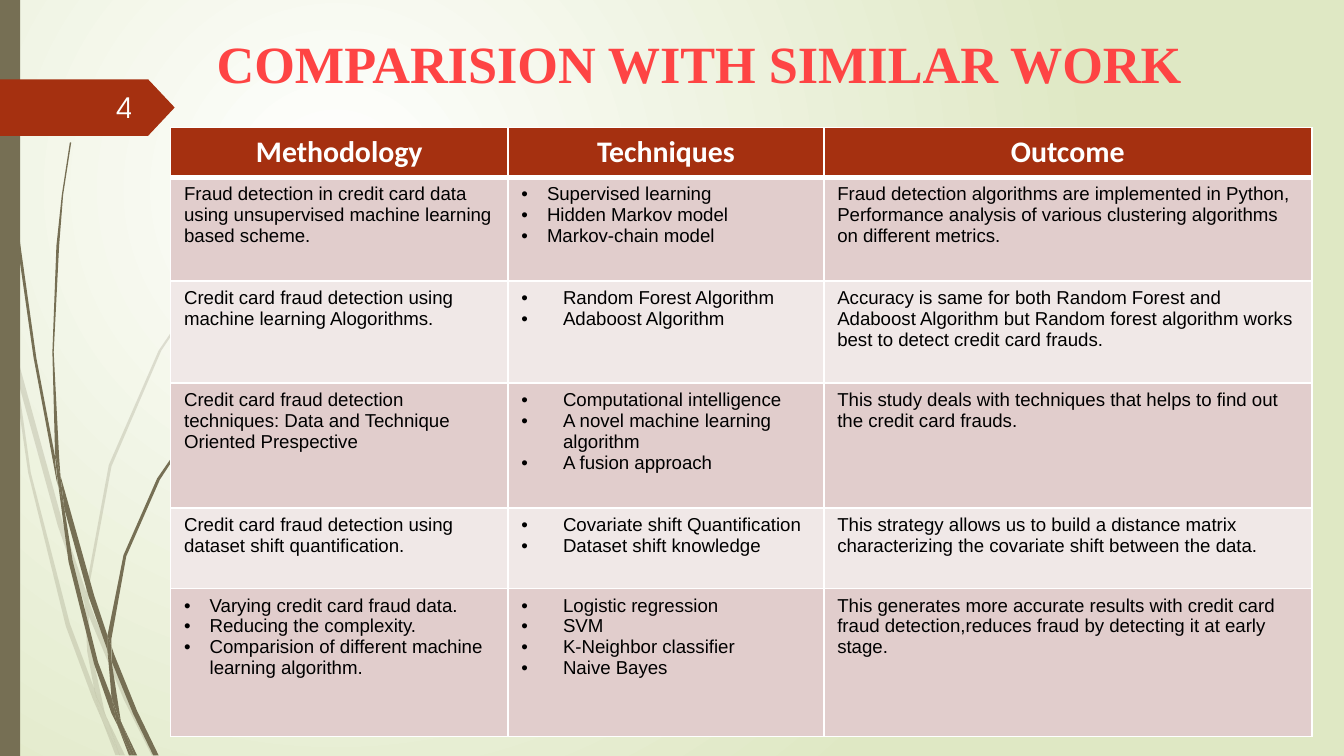
from dataclasses import dataclass

from lxml.etree import SubElement
from pptx import Presentation
from pptx.dml.color import RGBColor
from pptx.enum.shapes import MSO_SHAPE
from pptx.enum.text import MSO_ANCHOR, PP_ALIGN
from pptx.oxml import parse_xml
from pptx.oxml.ns import nsdecls, qn
from pptx.util import Inches, Pt

SLIDE_WIDTH = Inches(10)
SLIDE_HEIGHT = SLIDE_WIDTH * 9 // 16
OLIVE, RUST, WHITE, BLACK = "766F54", "A53010", "FFFFFF", "000000"
BAND_FILLS = ("E1CDCC", "F0E8E7")
COLUMN_WIDTHS = (2.51, 2.35, 3.63)
ROW_HEIGHTS = (0.37, 0.77, 0.76, 0.93, 0.6, 1.1)
HEADERS = ("Methodology", "Techniques", "Outcome")
NARROW, WIDE = 0.19, 0.31


@dataclass(frozen=True)
class CellText:
    lines: tuple[str, ...]
    bullet_indent: float = 0


@dataclass(frozen=True)
class TextStyle:
    font: str
    size: float
    color: str
    bold: bool = False


HEADER_STYLE = TextStyle("Calibri", 16, WHITE, True)
BODY_STYLE = TextStyle("Arial", 10, BLACK)
TITLE_STYLE = TextStyle("Times New Roman", 28, "FE4444", True)
NUMBER_STYLE = TextStyle("TeX Gyre Adventor", 15, "FEFFFF")

ROWS = (
    (CellText(("Fraud detection in credit card data using unsupervised machine learning based scheme.",)),
     CellText(("Supervised learning", "Hidden Markov model", "Markov-chain model"), NARROW),
     CellText(("Fraud detection algorithms are implemented in Python, Performance analysis of "
               "various clustering algorithms on different metrics.",))),
    (CellText(("Credit card fraud detection using machine learning Alogorithms.",)),
     CellText(("Random Forest Algorithm", "Adaboost Algorithm"), WIDE),
     CellText(("Accuracy is same for both Random Forest and Adaboost Algorithm but Random forest "
               "algorithm works best to detect credit card frauds.",))),
    (CellText(("Credit card fraud detection techniques: Data and Technique Oriented Prespective",)),
     CellText(("Computational intelligence", "A novel machine learning algorithm", "A fusion approach"), WIDE),
     CellText(("This study deals with techniques that helps to find out the credit card frauds.",))),
    (CellText(("Credit card fraud detection using dataset shift quantification.",)),
     CellText(("Covariate shift Quantification", "Dataset shift knowledge"), WIDE),
     CellText(("This strategy allows us to build a distance matrix characterizing the covariate "
               "shift between the data.",))),
    (CellText(("Varying credit card fraud data.", "Reducing the complexity.",
               "Comparision of different machine learning algorithm."), NARROW),
     CellText(("Logistic regression", "SVM", "K-Neighbor classifier", "Naive Bayes"), WIDE),
     CellText(("This generates more accurate results with credit card fraud detection,reduces "
               "fraud by detecting it at early stage.",))),
)

# Outlines of the grass blades, as "x,y" points in inches.
PALE_BLADES = (
    "0.08,2.63 0.06,2.41 0,2.11 0,2.24 0.08,2.58",
    "0.43,3.91 0.63,4.49 0.64,4.4 0.47,3.9 0.11,2.59 0.13,2.82",
    "0.69,4.55 0.66,4.47 0.66,4.58 0.92,5.2 1.13,5.62 1.16,5.62 0.95,5.19",
    "0.89,5.62 0.93,5.62 0.79,5.33",
    "0.7,5.12 0.52,4.64 0.23,3.52 0.13,2.82 0.08,2.63 0.21,3.52 0.49,4.66 0.69,5.2 0.76,5.36 0.74,5.3",
    "0.63,4.49 0.65,4.85 0.7,5.12 0.72,5.19 0.79,5.33 0.78,5.3 0.68,4.84 0.66,4.58 0.66,4.56",
    "0.66,4.38 0.83,3.47 1.2,2.61 1.71,1.84 2.01,1.48 2.17,1.31 2.34,1.15 2.17,1.31 2.01,1.48 "
    "1.71,1.83 1.18,2.61 0.81,3.46 0.64,4.38 0.64,4.4 0.66,4.47",
    "0.76,5.36 0.86,5.62 0.89,5.62",
    "0.66,4.56 0.66,4.58 0.66,4.47 0.64,4.4 0.63,4.49",
    "0.72,5.19 0.7,5.12 0.74,5.3 0.76,5.36 0.89,5.62 0.79,5.33",
)
DARK_BLADES = (
    "0.05,0.82 0.12,1.75 0.25,2.66 0.42,3.57 0.43,3.61 0.41,3.43 0.41,3.4 0.27,2.66 0.14,1.74 "
    "0.06,0.82 0.03,0.36 0.03,0 0.02,0 0.03,0.36",
    "0.66,4.44 0.8,4.84 0.8,4.75 0.8,4.73 0.7,4.43 0.45,3.54 0.48,3.79",
    "0.85,4.87 0.83,4.81 0.83,4.92 0.99,5.31 1.14,5.62 1.18,5.62 1.02,5.29",
    "0.83,5.19 0.73,4.93 0.54,4.17 0.48,3.79 0.43,3.58 0.51,4.18 0.7,4.94 0.83,5.31 0.88,5.41 0.87,5.38",
    "0.45,3.54 0.44,3.4 0.4,2.62 0.44,1.83 0.47,1.45 0.53,1.06 0.52,1.06 0.46,1.45 0.42,1.83 "
    "0.39,2.62 0.41,3.37",
    "1,5.62 1.02,5.62 0.91,5.39",
    "0.43,3.58 0.48,3.79 0.45,3.54 0.41,3.37 0.41,3.4",
    "0.83,4.75 0.94,4.14 1.19,3.57 1.53,3.05 1.73,2.81 1.84,2.69 1.96,2.58 1.95,2.58 1.84,2.69 "
    "1.73,2.8 1.53,3.04 1.17,3.56 0.92,4.13 0.8,4.73 0.83,4.81",
    "0.88,5.41 0.96,5.62 0.98,5.62",
    "0.8,4.84 0.83,5.19 0.87,5.3 0.91,5.39 0.9,5.37 0.83,4.92 0.81,4.88",
    "0.8,4.84 0.81,4.88 0.83,4.92 0.83,4.81 0.8,4.73 0.8,4.75",
    "0.87,5.3 0.83,5.19 0.87,5.38 0.88,5.41 0.98,5.62 1,5.62 0.91,5.39",
)


def rgb(color: str) -> RGBColor:
    return RGBColor.from_string(color)


def paint(shape, color: str) -> None:
    """Give a shape a plain fill, without outline or shadow."""
    shape.fill.solid()
    shape.fill.fore_color.rgb = rgb(color)
    shape.line.fill.background()
    shape.shadow.inherit = False


def paint_background(slide) -> None:
    fill = slide.background.fill
    fill.gradient()
    for stop, position, color in zip(fill.gradient_stops, (0, 1), (WHITE, "DFE8C4")):
        stop.position = position
        stop.color.rgb = rgb(color)
    gradient = slide.element.find(".//" + qn("a:gradFill"))
    gradient.replace(gradient.find(qn("a:lin")), parse_xml(
        f'<a:path {nsdecls("a")} path="circle">'
        '<a:fillToRect l="50000" t="50000" r="100000" b="100000"/></a:path>'))


def add_blade(slide, outline: str, opacity: int) -> None:
    points = [tuple(Inches(float(value)) for value in point.split(",")) for point in outline.split()]
    builder = slide.shapes.build_freeform(*points[0])
    builder.add_line_segments(points[1:], close=True)
    blade = builder.convert_to_shape()
    paint(blade, OLIVE)
    if opacity < 100:
        color = blade.element.spPr.find(".//" + qn("a:srgbClr"))
        SubElement(color, qn("a:alpha"), val=str(opacity * 1000))


def add_run(paragraph, text: str, style: TextStyle) -> None:
    run = paragraph.add_run()
    run.text = text
    run.font.name = style.font
    run.font.size = Pt(style.size)
    run.font.bold = style.bold
    run.font.color.rgb = rgb(style.color)


def add_label(slide, box: tuple, text: str, style: TextStyle, alignment, anchor, inset: float) -> None:
    frame = slide.shapes.add_textbox(*map(Inches, box)).text_frame
    frame.word_wrap = True
    frame.vertical_anchor = anchor
    frame.margin_top = frame.margin_bottom = Inches(inset)
    frame.paragraphs[0].alignment = alignment
    add_run(frame.paragraphs[0], text, style)


def fill_cell(cell, content: CellText, style: TextStyle, fill: str, alignment, bottom_width: float) -> None:
    cell.fill.solid()
    cell.fill.fore_color.rgb = rgb(fill)
    properties = cell._tc.get_or_add_tcPr()
    for position, (side, width) in enumerate(zip("LRTB", (1, 1, 1, bottom_width))):
        properties.insert(position, parse_xml(
            f'<a:ln{side} {nsdecls("a")} w="{Pt(width)}"><a:solidFill>'
            f'<a:srgbClr val="{WHITE}"/></a:solidFill></a:ln{side}>'))
    frame = cell.text_frame
    for index, line in enumerate(content.lines):
        paragraph = frame.add_paragraph() if index else frame.paragraphs[0]
        paragraph.alignment = alignment
        if content.bullet_indent:
            indent = Inches(content.bullet_indent)
            paragraph_properties = paragraph._p.get_or_add_pPr()
            paragraph_properties.set("marL", str(indent))
            paragraph_properties.set("indent", str(-indent))
            SubElement(paragraph_properties, qn("a:buFont"), typeface="Arial")
            SubElement(paragraph_properties, qn("a:buChar"), char="•")
        add_run(paragraph, line, style)


def add_comparison_table(slide) -> None:
    table = slide.shapes.add_table(
        len(ROW_HEIGHTS), len(COLUMN_WIDTHS), Inches(1.27), Inches(0.95),
        Inches(sum(COLUMN_WIDTHS)), Inches(sum(ROW_HEIGHTS))).table
    for column, width in zip(table.columns, COLUMN_WIDTHS):
        column.width = Inches(width)
    for row, height in zip(table.rows, ROW_HEIGHTS):
        row.height = Inches(height)
    for column, header in enumerate(HEADERS):
        fill_cell(table.cell(0, column), CellText((header,)), HEADER_STYLE, RUST, PP_ALIGN.CENTER, 3)
    for row, contents in enumerate(ROWS):
        for column, content in enumerate(contents):
            fill_cell(table.cell(row + 1, column), content, BODY_STYLE, BAND_FILLS[row % 2], PP_ALIGN.LEFT, 1)


def main() -> None:
    presentation = Presentation()
    presentation.slide_width, presentation.slide_height = SLIDE_WIDTH, SLIDE_HEIGHT
    slide = presentation.slides.add_slide(presentation.slide_layouts[6])
    paint_background(slide)
    for blades, opacity in ((PALE_BLADES, 20), (DARK_BLADES, 100)):
        for outline in blades:
            add_blade(slide, outline, opacity)
    side_bar = slide.shapes.add_shape(MSO_SHAPE.RECTANGLE, 0, 0, Inches(0.15), SLIDE_HEIGHT)
    paint(side_bar, OLIVE)
    number_tag = slide.shapes.add_shape(MSO_SHAPE.PENTAGON, 0, Inches(0.59), Inches(1.3), Inches(0.42))
    number_tag.adjustments[0] = 0.47
    paint(number_tag, RUST)
    add_label(slide, (0.44, 0.65, 0.64, 0.3), "4", NUMBER_STYLE, PP_ALIGN.RIGHT, MSO_ANCHOR.MIDDLE, 0.05)
    add_label(slide, (1.27, 0.13, 7.86, 0.67), "COMPARISION WITH SIMILAR WORK", TITLE_STYLE,
              PP_ALIGN.CENTER, MSO_ANCHOR.TOP, 0.1)
    add_comparison_table(slide)
    presentation.save("out.pptx")


if __name__ == "__main__":
    main()
